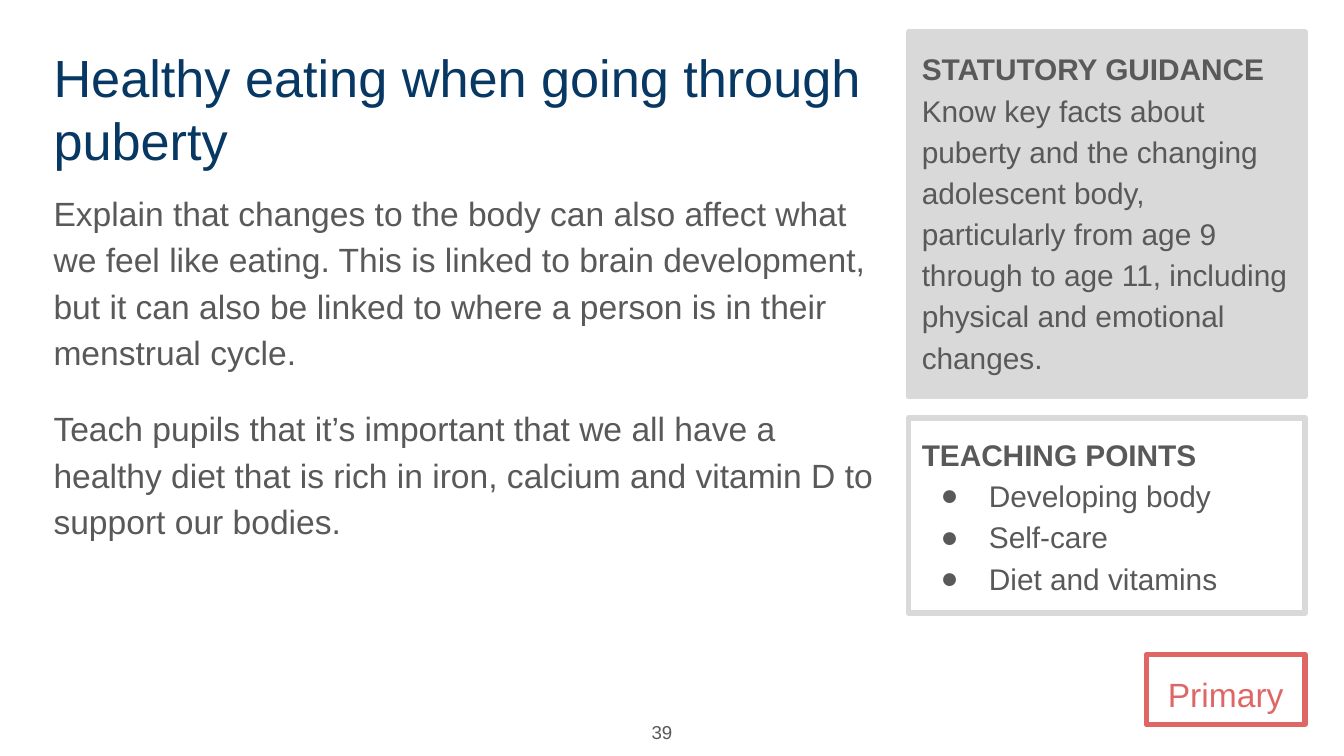
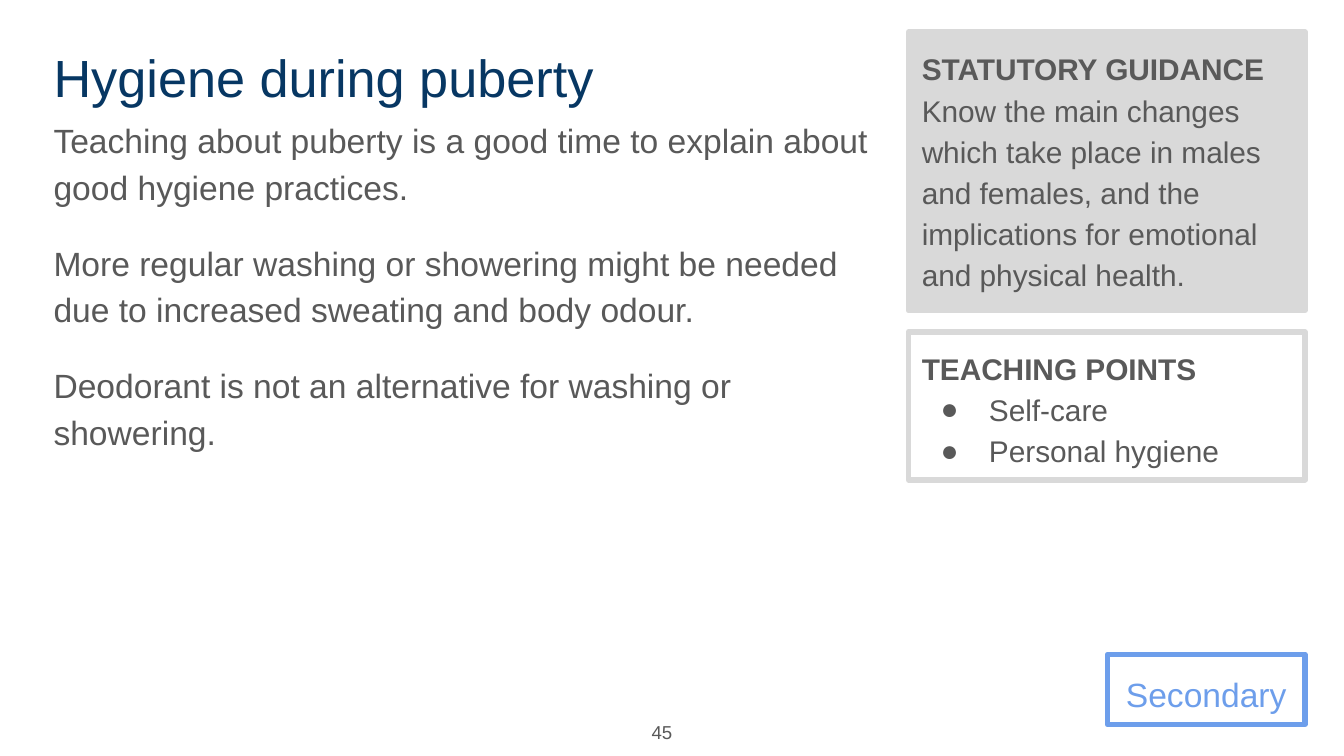
from lxml import etree
from pptx import Presentation, util as u
from pptx.dml.color import RGBColor
from pptx.enum import shapes, text
from pptx.oxml import ns

NAVY = RGBColor(0x07, 0x37, 0x63)
INK = RGBColor(0x59, 0x59, 0x59)
GREY = RGBColor(0xD9, 0xD9, 0xD9)
RED = RGBColor(0xE0, 0x66, 0x66)
BLUE = RGBColor(0x6D, 0x9E, 0xEB)

COLS, ROWS = 100, 56.25
LEFT, TOP, RIGHT = 3, 2.4, 97.1
PANEL_LEFT, PANEL_GAP = 67.6, 1.6

SLIDES = [
    {
        "title": "Healthy eating when going through puberty",
        "body_top": 12.9,
        "body": [
            "Explain that changes to the body can also affect what we feel like eating. "
            "This is linked to brain development, but it can also be linked to where a "
            "person is in their menstrual cycle.",
            "Teach pupils that it’s important that we all have a healthy diet that is "
            "rich in iron, calcium and vitamin D to support our bodies.",
        ],
        "guidance": "Know key facts about puberty and the changing adolescent body, "
                    "particularly from age 9 through to age 11, including physical and "
                    "emotional changes.",
        "guidance_height": 27.1,
        "points": ["Developing body", "Self-care", "Diet and vitamins"],
        "points_height": 14.5,
        "stage": ("Primary", RED, 11.8),
        "number": 39,
    },
    {
        "title": "Hygiene during puberty",
        "body_top": 7.5,
        "body": [
            "Teaching about puberty is a good time to explain about good hygiene practices.",
            "More regular washing or showering might be needed due to increased sweating "
            "and body odour.",
            "Deodorant is not an alternative for washing or showering.",
        ],
        "guidance": "Know the main changes which take place in males and females, and the "
                    "implications for emotional and physical health.",
        "guidance_height": 20.7,
        "points": ["Self-care", "Personal hygiene"],
        "points_height": 11,
        "stage": ("Secondary", BLUE, 14.7),
        "number": 45,
    },
]


class Deck:
    font = "Arial"
    spacing = 1.15

    def __init__(self):
        self.prs = Presentation()
        self.prs.slide_width = u.Inches(10)
        self.prs.slide_height = u.Inches(5.625)
        self.s = None

    def new_slide(self):
        self.s = self.prs.slides.add_slide(self.prs.slide_layouts[6])

    def place(self, x, y, w, h):
        col, row = self.prs.slide_width / COLS, self.prs.slide_height / ROWS
        return [round(n) for n in (x * col, y * row, w * col, h * row)]

    def set_text(self, sp, lines, size, color, spacing=None, before=0, align=None):
        tf = sp.text_frame
        tf.word_wrap = True
        tf.vertical_anchor = text.MSO_ANCHOR.TOP
        tf.margin_left = tf.margin_right = u.Inches(0.1)
        tf.margin_top = tf.margin_bottom = u.Inches(0.1)
        tf.text = "\n".join(lines)
        for i, p in enumerate(tf.paragraphs):
            p.alignment = align or text.PP_ALIGN.LEFT
            p.line_spacing = spacing
            if i and before:
                p.space_before = u.Pt(before)
            for r in p.runs:
                r.font.name, r.font.size = self.font, u.Pt(size)
                r.font.color.rgb = color
        return tf

    def text_box(self, box, lines, size, color, **style):
        sp = self.s.shapes.add_textbox(*self.place(*box))
        return self.set_text(sp, lines, size, color, **style)

    def frame(self, box, line, lines, size, color, fill=None, align=None):
        sp = self.s.shapes.add_shape(shapes.MSO_SHAPE.RECTANGLE, *self.place(*box))
        sp.shadow.inherit = False
        if fill is None:
            sp.fill.background()
        else:
            sp.fill.solid()
            sp.fill.fore_color.rgb = fill
        sp.line.color.rgb = line
        sp.line.width = u.Pt(3)
        return self.set_text(sp, lines, size, color, self.spacing, align=align)

    def panel(self, top, height, lines, fill=None):
        box = PANEL_LEFT, top, RIGHT - PANEL_LEFT, height
        tf = self.frame(box, GREY, lines, 16, INK, fill)
        tf.paragraphs[0].runs[0].font.bold = True
        return tf

    def title(self, words):
        self.text_box((LEFT, TOP, 64.1, 6.3), [words], 28, NAVY)

    def body(self, top, lines):
        self.text_box((LEFT, top, 63.2, 48.8 - top), lines, 18, INK,
                      spacing=self.spacing, before=16)

    def guidance(self, height, words):
        tf = self.panel(TOP, height, ["STATUTORY GUIDANCE\v" + words], GREY)
        for br in tf.paragraphs[0]._p.findall(ns.qn("a:br")):
            etree.SubElement(br, ns.qn("a:rPr"), sz="1600")

    def points(self, top, height, items):
        tf = self.panel(top, height, ["TEACHING POINTS"] + items)
        for p in tf.paragraphs[1:]:
            pPr = p._p.get_or_add_pPr()
            pPr.set("marL", str(u.Inches(0.5)))
            pPr.set("indent", str(u.Inches(-0.36)))
            clr = etree.SubElement(pPr, ns.qn("a:buClr"))
            etree.SubElement(clr, ns.qn("a:srgbClr"), val=str(INK))
            etree.SubElement(pPr, ns.qn("a:buFont"), typeface=self.font)
            etree.SubElement(pPr, ns.qn("a:buChar"), char="●")

    def stage(self, name, color, width):
        self.frame((RIGHT - width, 48.7, width, 5.2), color, [name], 18, color,
                   align=text.PP_ALIGN.CENTER)

    def number(self, n):
        tf = self.text_box((45.9, 52.6, 5.1, 3.7), [str(n)], 10, INK,
                           align=text.PP_ALIGN.RIGHT)
        tf.vertical_anchor = text.MSO_ANCHOR.MIDDLE


def main():
    deck = Deck()
    for d in SLIDES:
        deck.new_slide()
        deck.title(d["title"])
        deck.body(d["body_top"], d["body"])
        deck.guidance(d["guidance_height"], d["guidance"])
        deck.points(TOP + d["guidance_height"] + PANEL_GAP, d["points_height"], d["points"])
        deck.stage(*d["stage"])
        deck.number(d["number"])
    deck.prs.save("out.pptx")


if __name__ == "__main__":
    main()
